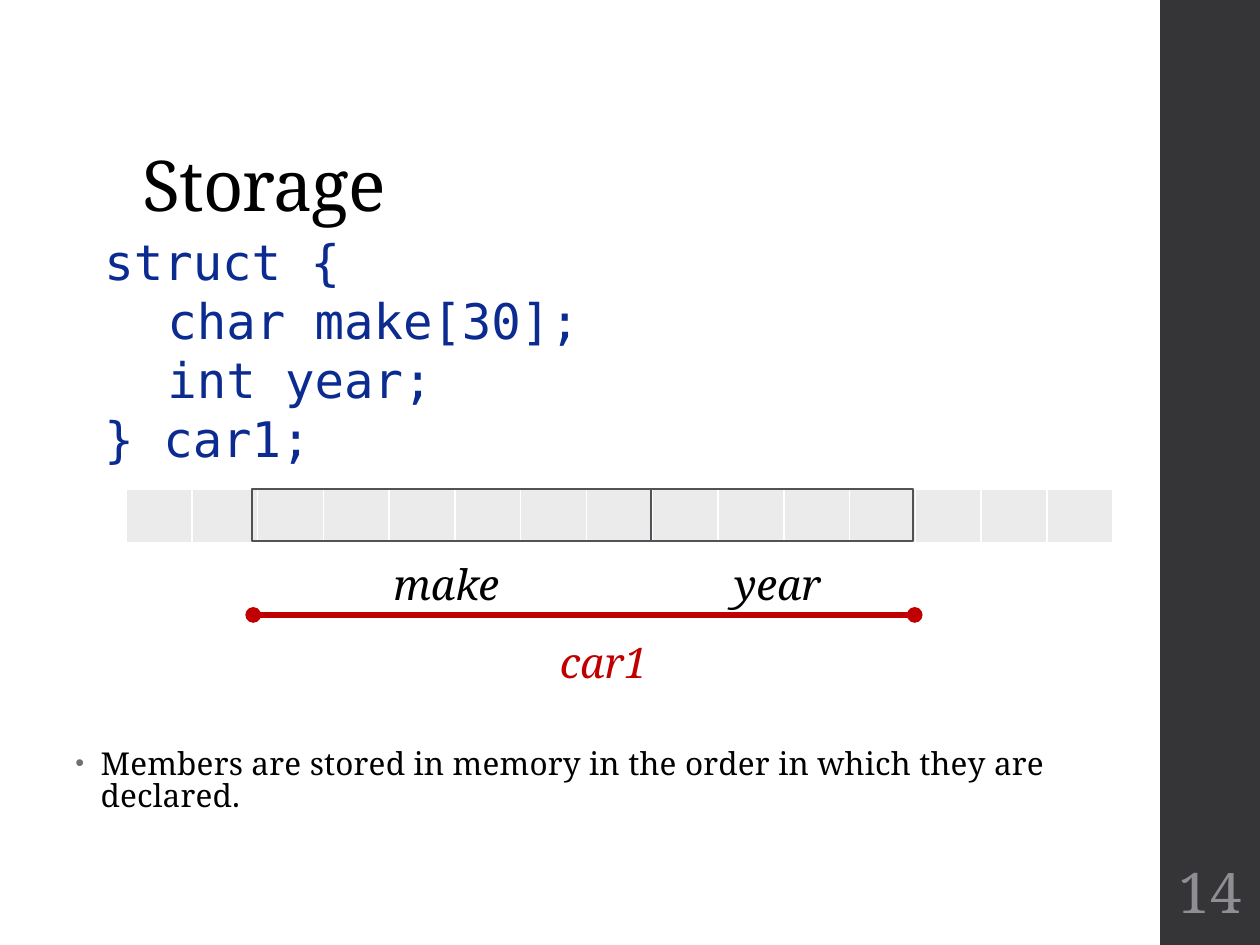
from lxml import etree
from pptx import Presentation
from pptx.dml.color import RGBColor
from pptx.enum.shapes import MSO_CONNECTOR, MSO_SHAPE
from pptx.enum.text import MSO_ANCHOR, PP_ALIGN
from pptx.oxml.ns import qn
from pptx.util import Pt

RECTANGLE = MSO_SHAPE.RECTANGLE
STRAIGHT = MSO_CONNECTOR.STRAIGHT
TOP, MIDDLE, BOTTOM = MSO_ANCHOR.TOP, MSO_ANCHOR.MIDDLE, MSO_ANCHOR.BOTTOM
LEFT, CENTER = PP_ALIGN.LEFT, PP_ALIGN.CENTER
SERIF, MONO = "Noto Serif", "DejaVu Sans Mono"
BLACK, WHITE, RED = "000000", "FFFFFF", "C00000"


def color(value):
    """Turn a hex string into a colour."""
    return RGBColor.from_string(value)


def add_text(slide, box, lines, size, ink=BLACK, name=SERIF, align=LEFT,
             anchor=TOP, italic=None, spacing=None, side=7.2):
    """Add a text box with one paragraph per line and return its paragraphs."""
    frame = slide.shapes.add_textbox(*map(Pt, box)).text_frame
    frame.word_wrap = True
    frame.vertical_anchor = anchor
    frame.margin_left = frame.margin_right = Pt(side)
    frame.text = "\n".join(lines)
    for paragraph in frame.paragraphs:
        paragraph.alignment = align
        paragraph.line_spacing = spacing
        font = paragraph.font
        font.name, font.size, font.italic = name, Pt(size), italic
        font.color.rgb = color(ink)
    return frame.paragraphs


def add_rectangle(slide, box, fill=None, line=None):
    """Add a plain rectangle, filled or outlined."""
    shape = slide.shapes.add_shape(RECTANGLE, *map(Pt, box))
    shape.shadow.inherit = False
    if fill:
        shape.fill.solid()
        shape.fill.fore_color.rgb = color(fill)
    else:
        shape.fill.background()
    if line:
        shape.line.color.rgb = color(line)
        shape.line.width = Pt(1.1)
    else:
        shape.line.fill.background()


def add_sidebar(slide, left, top, width, height, number):
    """Add the dark side band with the slide number at its foot."""
    add_rectangle(slide, (left, top, width, height), fill="353537")
    add_text(slide, (left + 1.5, top + height - 54, 54, 46.8), [number], 32,
             "8E8E94", align=CENTER, anchor=MIDDLE, side=2.2)


def add_title(slide, left, top, width, height, title):
    """Add the slide title."""
    paragraph, = add_text(slide, (left, top, width, height), [title], 40,
                          anchor=BOTTOM, spacing=0.9)
    paragraph.runs[0].font._element.set("spc", "-50")


def add_code(slide, left, top, width, height, lines):
    """Add the code, indenting the struct members."""
    paragraphs = add_text(slide, (left, top, width, height), lines, 28,
                          "0B2B91", MONO, spacing=Pt(33.7))
    for paragraph in paragraphs[1:-1]:
        paragraph._p.get_or_add_pPr().set("marL", str(Pt(36)))


def add_memory_cells(slide, left, top, width, height, count):
    """Add the row of memory cells as a table."""
    table = slide.shapes.add_table(1, count, *map(Pt, (left, top, width, height))).table
    for column in table.columns:
        column.width = Pt(width / count)
    for cell in table.iter_cells():
        cell.fill.solid()
        cell.fill.fore_color.rgb = color("EBEBEB")
        properties = cell._tc.get_or_add_tcPr()
        for index, side in enumerate(("lnL", "lnR", "lnT", "lnB")):
            border = etree.Element(qn("a:" + side), w=str(Pt(1)))
            fill = etree.SubElement(border, qn("a:solidFill"))
            etree.SubElement(fill, qn("a:srgbClr"), val=WHITE)
            properties.insert(index, border)


def add_span(slide, left, top, width):
    """Add a red line with a dot at each end."""
    line = slide.shapes.add_connector(STRAIGHT, Pt(left), Pt(top), Pt(left + width), Pt(top))
    line.line.color.rgb = color(RED)
    line.line.width = Pt(3)
    outline = line.line._get_or_add_ln()
    for end in ("headEnd", "tailEnd"):
        etree.SubElement(outline, qn("a:" + end), type="oval")
    etree.SubElement(line._element.spPr, qn("a:effectLst"))


def add_memory(slide, left, top, width, height):
    """Add the memory strip, its two members and the variable's span."""
    add_memory_cells(slide, left, top, width, height, 15)
    start = left + 72
    for name, offset, member_width, label in (("make", 0, 228, 72), ("year", 228, 150, 261.4)):
        add_rectangle(slide, (start + offset, top, member_width, 30), line="525256")
        add_text(slide, (start + label, top + 36, 78, 36), [name], 24,
                 align=CENTER, italic=True)
    add_span(slide, start + 0.7, top + 72, 378)
    add_text(slide, (start + 162, top + 80.6, 78, 36), ["car1"], 24, RED,
             align=CENTER, italic=True)


def add_note(slide, left, top, width, height, note):
    """Add the bulleted remark."""
    paragraph, = add_text(slide, (left, top, width, height), [note], 18, spacing=0.84)
    paragraph.runs[0].font._element.set("spc", "10")
    properties = paragraph._p.get_or_add_pPr()
    properties.set("marL", str(Pt(14.4)))
    properties.set("indent", str(-Pt(14.4)))
    bullet_color = etree.SubElement(properties, qn("a:buClr"))
    etree.SubElement(bullet_color, qn("a:srgbClr"), val="6F6F74")
    etree.SubElement(properties, qn("a:buSzPct"), val="80000")
    etree.SubElement(properties, qn("a:buFont"), typeface="Arial")
    etree.SubElement(properties, qn("a:buChar"), char="•")
    font = properties.find(qn("a:defRPr"))
    if font is not None:
        properties.append(font)


def build():
    """Build and save the slide."""
    presentation = Presentation()
    presentation.slide_width, presentation.slide_height = Pt(720), Pt(540)
    slide = presentation.slides.add_slide(presentation.slide_layouts[6])
    add_sidebar(slide, 663, 0, 57, 540, "14")
    add_title(slide, 74.2, 28.8, 572.4, 104.4, "Storage")
    add_note(slide, 36, 425, 610, 57,
             "Members are stored in memory in the order in which they are declared.")
    add_memory(slide, 72, 279.4, 564, 31)
    add_code(slide, 52.6, 128.5, 331, 143,
             ["struct {", "char make[30];", "int year;", "} car1;"])
    presentation.save("out.pptx")


build()
